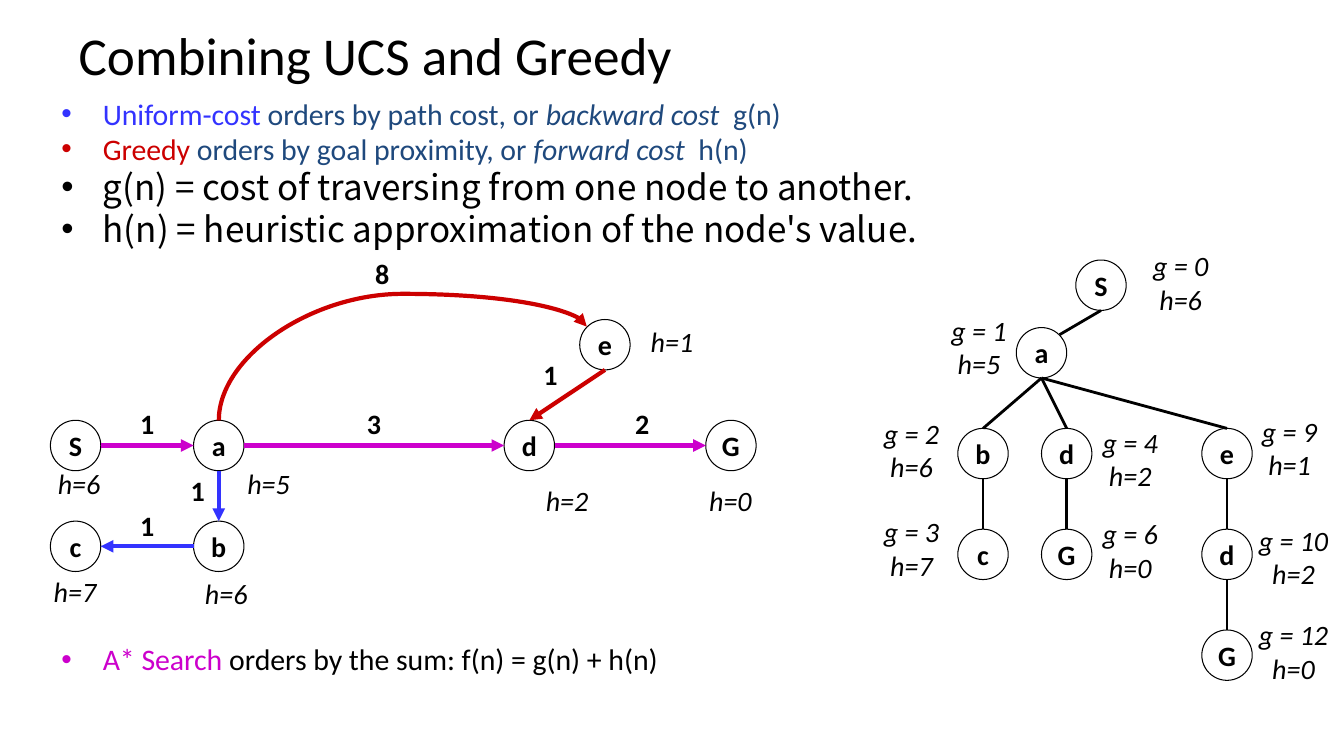
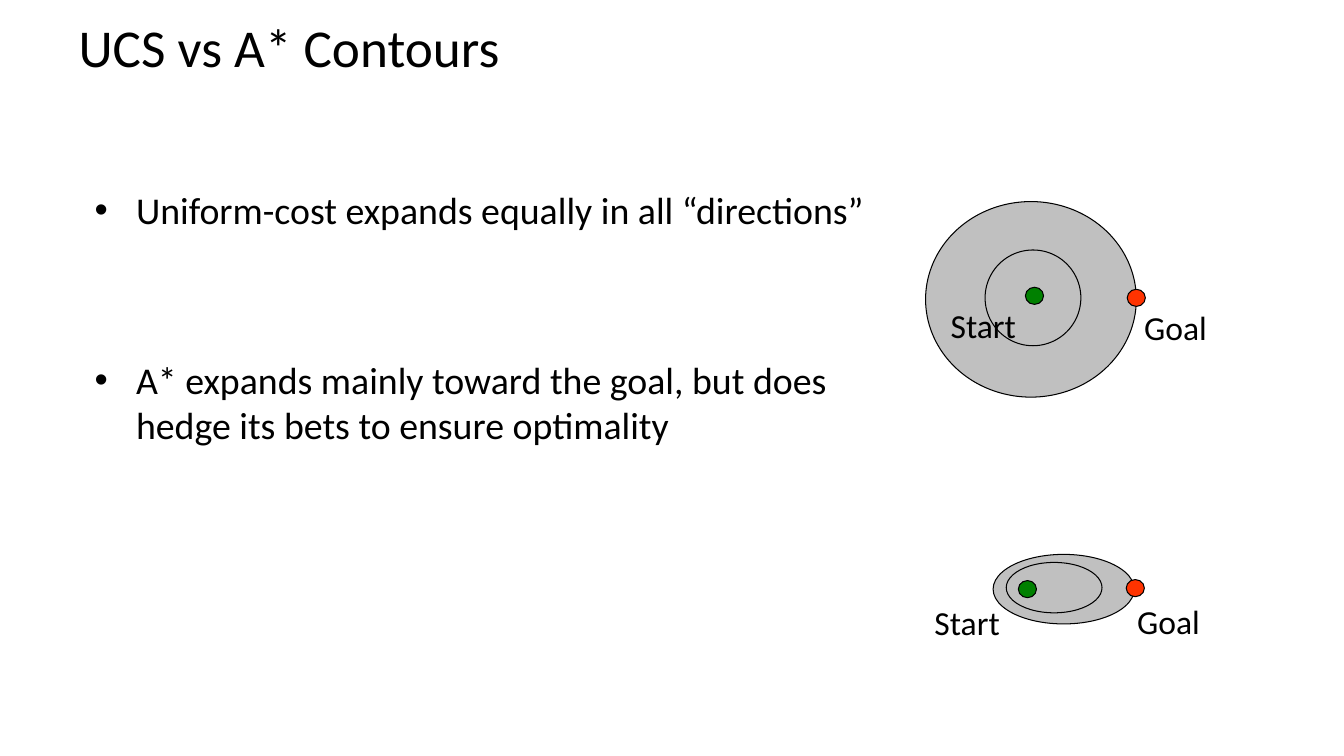
from lxml import etree
from pptx import Presentation
from pptx import util as u
from pptx.dml.color import RGBColor
from pptx.enum import shapes, text
from pptx.oxml.ns import qn

BLACK, WHITE, GREY = "000000", "FFFFFF", "C0C0C0"
BLUE, RED, PURPLE, NAVY = "3333FF", "CC0000", "CC00CC", "1F497D"
GREEN, ORANGE = "008000", "FF3300"
NODE = 0.5
SIDES = {"top": (0, -0.25), "bottom": (0, 0.25), "left": (-0.25, 0), "right": (0.25, 0),
         "top left": (-0.18, -0.18), "top right": (0.18, -0.18)}


def rgb(value):
    return RGBColor.from_string(value)


def inches(*values):
    return [u.Inches(v) for v in values]


def child(parent, tag, **attrs):
    return etree.SubElement(parent, qn(tag), attrs)


def side(centre, name):
    return tuple(c + d for c, d in zip(centre, SIDES[name]))


class Deck:
    """Shared style of the slides, the current slide and its drawing methods."""

    def __init__(self):
        self.prs = Presentation()
        self.prs.slide_width, self.prs.slide_height = inches(13.33, 7.5)

    def slide(self, title, top):
        self.s = self.prs.slides.add_slide(self.prs.slide_layouts[6])
        self.text(title, 0.67, top, 12, 0.87, size=38, inset=0.11,
                  anchor=text.MSO_ANCHOR.MIDDLE)

    def run(self, p, words, size, color=BLACK, font="Calibri", **marks):
        r = p.add_run()
        r.text = words
        style = {"name": font, "size": u.Pt(size), **marks}
        for key, value in style.items():
            setattr(r.font, key, value)
        r.font.color.rgb = rgb(color)

    def frame(self, tf, inset=0.1, anchor=text.MSO_ANCHOR.TOP, wrap=True):
        style = {"margin_left": u.Inches(inset), "margin_right": u.Inches(inset),
                 "margin_top": u.Inches(0.05), "margin_bottom": u.Inches(0.05),
                 "vertical_anchor": anchor, "word_wrap": wrap}
        for key, value in style.items():
            setattr(tf, key, value)

    def text(self, words, x, y, w, h, size=20, align=text.PP_ALIGN.LEFT, inset=0.1,
             anchor=text.MSO_ANCHOR.TOP, **marks):
        tf = self.s.shapes.add_textbox(*inches(x, y, w, h)).text_frame
        self.frame(tf, inset, anchor)
        for i, line in enumerate(words.split("\n")):
            p = tf.paragraphs[0] if i == 0 else tf.add_paragraph()
            p.alignment = align
            self.run(p, line, size, **marks)

    def label(self, words, x, y, w, **marks):
        h = 0.77 if "\n" in words else 0.43
        self.text(words, x, y, w, h, align=text.PP_ALIGN.CENTER, **marks)

    def bullets(self, items, x, y, w, h):
        tf = self.s.shapes.add_textbox(*inches(x, y, w, h)).text_frame
        self.frame(tf, 0.11)
        for i, (before, spacing, runs) in enumerate(items):
            p = tf.paragraphs[0] if i == 0 else tf.add_paragraph()
            pPr = p._p.get_or_add_pPr()
            pPr.set("marL", str(u.Inches(0.41)))
            pPr.set("indent", str(u.Inches(-0.41)))
            child(child(pPr, "a:buClr"), "a:srgbClr", val=runs[0].get("color", BLACK))
            child(pPr, "a:buFont", typeface="Arial")
            child(pPr, "a:buChar", char="•")
            p.line_spacing, p.space_before = spacing, u.Pt(before)
            for r in runs:
                self.run(p, **r)

    def oval(self, x, y, w, h, fill=None):
        sp = self.s.shapes.add_shape(shapes.MSO_SHAPE.OVAL, *inches(x, y, w, h))
        sp.shadow.inherit = False
        if fill:
            sp.fill.solid()
            sp.fill.fore_color.rgb = rgb(fill)
        else:
            sp.fill.background()
        sp.line.color.rgb = rgb(BLACK)
        sp.line.width = u.Pt(0.75)
        return sp

    def node(self, name, centre):
        x, y = (c - NODE / 2 for c in centre)
        tf = self.oval(x, y, NODE, NODE, WHITE).text_frame
        self.frame(tf, anchor=text.MSO_ANCHOR.MIDDLE, wrap=False)
        p = tf.paragraphs[0]
        p.alignment = text.PP_ALIGN.CENTER
        self.run(p, name, 20, bold=True)

    def line(self, start, end, color=BLACK, width=2, arrow=False,
             kind=shapes.MSO_CONNECTOR.STRAIGHT):
        sp = self.s.shapes.add_connector(kind, *inches(*start, *end))
        sp.line.color.rgb = rgb(color)
        sp.line.width = u.Pt(width)
        if arrow:
            child(sp.line._get_or_add_ln(), "a:tailEnd", type="triangle")
        child(sp._element.spPr, "a:effectLst")
        return sp

    def arc(self, start, end, color, width, bend):
        (x1, y1), (x2, y2) = start, end
        cx, cy = (x1 + x2) / 2, (y1 + y2) / 2
        dx, dy = (y1 - y2) / 2, (x2 - x1) / 2
        sp = self.line((cx - dx, cy - dy), (cx + dx, cy + dy), color, width, True,
                       shapes.MSO_CONNECTOR.CURVE)
        spPr = sp._element.spPr
        spPr.find(qn("a:xfrm")).set("rot", "16200000")
        geom = spPr.find(qn("a:prstGeom"))
        guides = geom.find(qn("a:avLst"))
        if guides is None:
            guides = child(geom, "a:avLst")
        child(guides, "a:gd", name="adj1", fmla=f"val {round(bend * 100000)}")


def cost_bullet(before, color, name, orders, cost, function):
    parts = [(name, color, False), (orders, NAVY, False), (cost, NAVY, True),
             (function, NAVY, False)]
    return before, 0.8, [dict(words=w, size=21.3, color=c, italic=i) for w, c, i in parts]


def definition(words):
    return 5, 0.83, [dict(words=words, size=25, font="Noto Sans CJK KR")]


def combining(deck):
    deck.slide("Combining UCS and Greedy", 0.1)
    deck.bullets([
        cost_bullet(0, BLUE, "Uniform-cost ", "orders by path cost, or ",
                    "backward cost  ", "g(n)"),
        cost_bullet(4.3, RED, "Greedy ", "orders by goal proximity, or ",
                    "forward cost  ", "h(n)"),
        definition("g(n) = cost of traversing from one node to another."),
        definition("h(n) = heuristic approximation of the node's value."),
    ], 0.5, 0.97, 12.62, 1.8)
    deck.bullets([(0, 0.8, [
        dict(words="A* Search", size=21.3, color=PURPLE),
        dict(words=" orders by the sum: f(n) = g(n) + h(n)", size=21.3),
    ])], 0.5, 6.38, 12.62, 0.5)

    graph = {"S": (0.75, 4.42), "a": (2.17, 4.42), "d": (5.25, 4.42), "G": (7.25, 4.42),
             "c": (0.75, 5.42), "b": (2.17, 5.42), "e": (6, 3.42)}
    for name, centre in graph.items():
        deck.node(name, centre)
    for a, out, b, into, color in [
            ("S", "right", "a", "left", PURPLE), ("a", "right", "d", "left", PURPLE),
            ("d", "right", "G", "left", PURPLE), ("e", "bottom", "d", "top", RED),
            ("a", "bottom", "b", "top", BLUE), ("b", "left", "c", "right", BLUE)]:
        deck.line(side(graph[a], out), side(graph[b], into), color, 3, True)
    deck.arc(side(graph["a"], "top"), side(graph["e"], "top left"), RED, 3, 1.35)

    for words, x, y in [("1", 1.17, 3.98), ("8", 3.5, 2.5), ("1", 1.17, 5),
                        ("1", 1.67, 4.65), ("2", 6.08, 3.98), ("3", 3.42, 3.98),
                        ("1", 5.17, 3.5)]:
        deck.label(words, x, y, 0.58, bold=True)
    for words, x, y in [("h=6", 0.37, 4.58), ("h=5", 2.25, 4.58), ("h=2", 5.21, 4.75),
                        ("h=0", 6.83, 4.75), ("h=7", 0.33, 5.65), ("h=6", 1.83, 5.67),
                        ("h=1", 6.25, 3.17)]:
        deck.label(words, x, y, 0.83, italic=True)

    tree = {"S": (10.92, 2.83), "a": (10.33, 3.5), "b": (9.75, 4.5), "c": (9.75, 5.5),
            "d": (10.58, 4.5), "G": (10.58, 5.5), "e": (12.17, 4.5),
            "e d": (12.17, 5.5), "e d G": (12.17, 6.5)}
    for name, centre in tree.items():
        deck.node(name[-1], centre)
    deck.line(side(tree["S"], "bottom"), side(tree["a"], "top right"))
    for a, b in [("a", "b"), ("a", "d"), ("a", "e"), ("b", "c"), ("d", "G"),
                 ("e", "e d"), ("e d", "e d G")]:
        deck.line(side(tree[a], "bottom"), side(tree[b], "top"))
    for g, h, x, y in [(0, 6, 11.25, 2.42), (1, 5, 9.25, 3.06), (2, 6, 8.58, 4.08),
                       (3, 7, 8.58, 5.06), (4, 2, 10.75, 4.17), (6, 0, 10.75, 5.08),
                       (9, 1, 12.33, 4.06), (10, 2, 12.33, 5.14), (12, 0, 12.33, 6.08)]:
        deck.label(f"g = {g}\nh={h}", x, y, 1 if g > 9 else 0.92, italic=True)


def contours(deck):
    deck.slide("UCS vs A* Contours", 0.02)
    deck.bullets([
        (before, 1.0, [dict(words=words, size=27)]) for before, words in [
            (0, "Uniform-cost expands equally in all “directions”"),
            (89, "A* expands mainly toward the goal, but does hedge its bets "
                 "to ensure optimality")]
    ], 0.83, 1.8, 7.94, 4.95)
    for outer, inner, start, goal, start_label, goal_label in [
            ((9.18, 2, 2.09, 1.94), (9.77, 2.48, 0.95, 0.95), (10.17, 2.85),
             (11.18, 2.87), (9.33, 2.98), (11.25, 3)),
            ((9.85, 5.5, 1.4, 0.69), (9.98, 5.58, 0.95, 0.5), (10.1, 5.76),
             (11.17, 5.75), (9.17, 5.92), (11.18, 5.91))]:
        deck.oval(*outer, GREY)
        for words, dot, color, place in [("Start", start, GREEN, start_label),
                                         ("Goal", goal, ORANGE, goal_label)]:
            deck.oval(*dot, 0.18, 0.17, color)
            deck.text(words, *place, 1, 0.5, size=24)
        deck.oval(*inner)


def main():
    deck = Deck()
    combining(deck)
    contours(deck)
    deck.prs.save("out.pptx")


if __name__ == "__main__":
    main()
